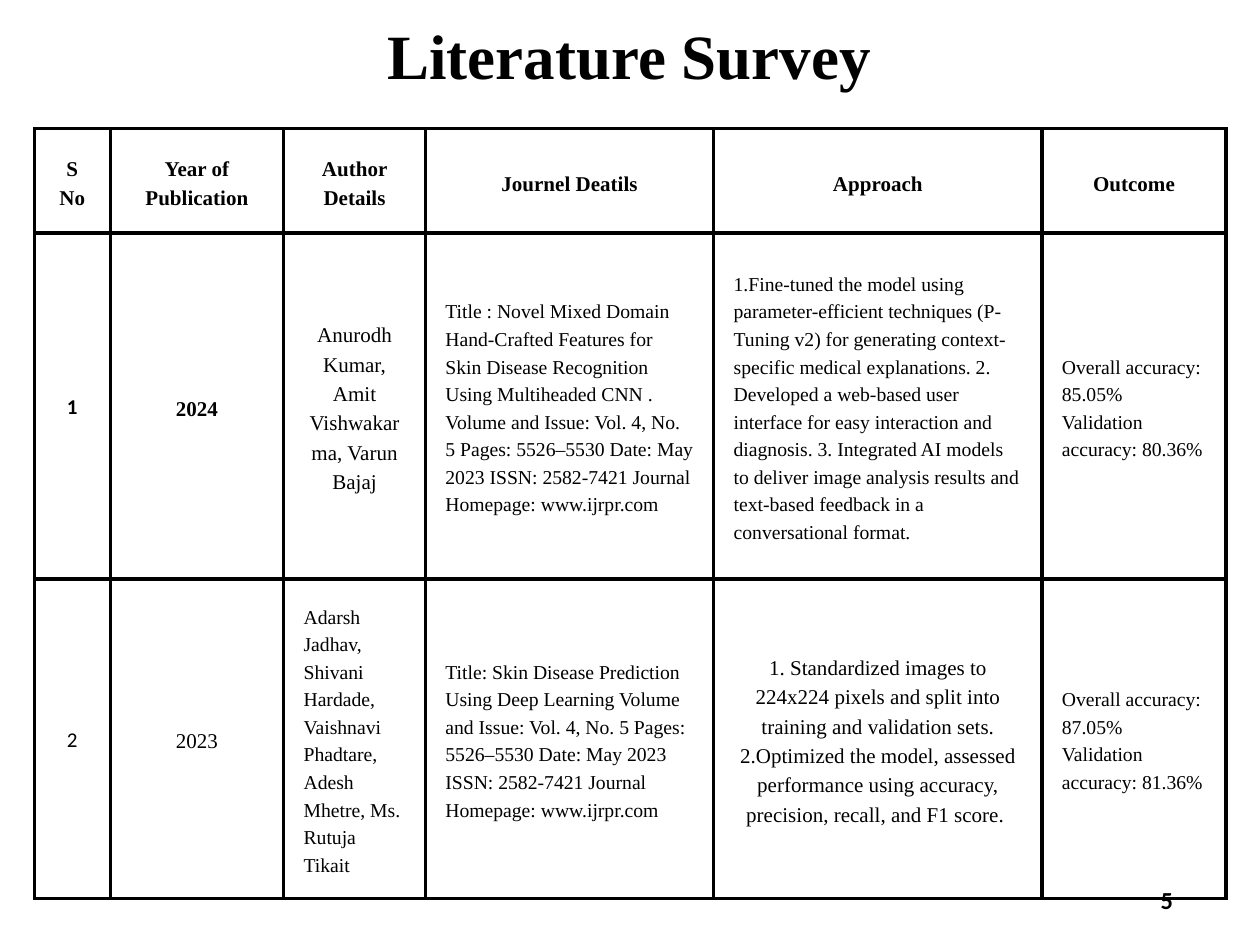
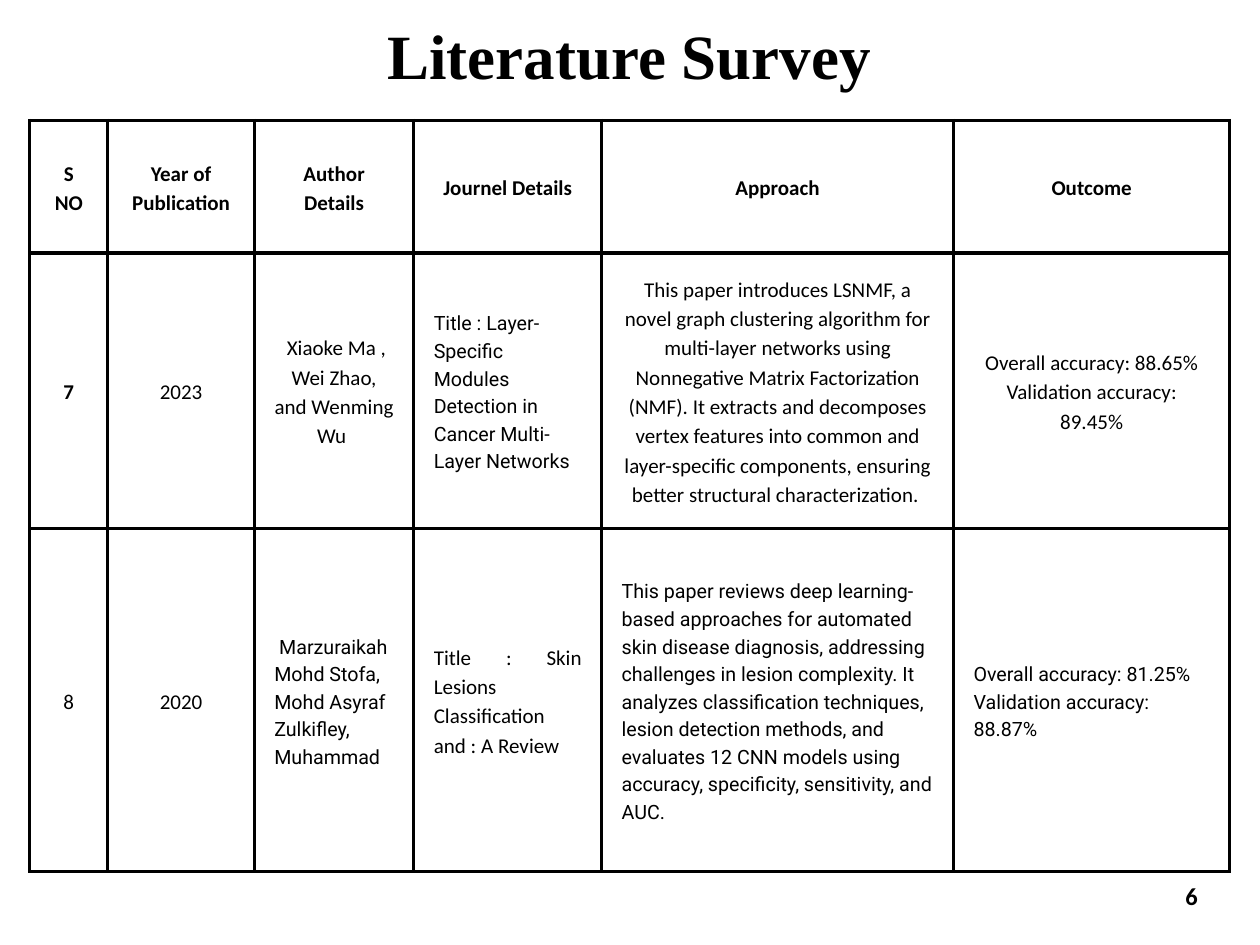
from lxml.etree import SubElement
from pptx import Presentation
from pptx.dml.color import RGBColor
from pptx.enum.text import MSO_ANCHOR, PP_ALIGN
from pptx.oxml.ns import qn
from pptx.util import Cm, Pt

INK = "000000"
SERIF, SANS, ROBOTO = "Times New Roman", "Calibri", "Roboto"
PAD = Cm(0.43)

# Cell styles: alignment, size, line pitch, bold
STYLES = {
    "head": (PP_ALIGN.CENTER, 12.8, 17.9, True),
    "mid": (PP_ALIGN.CENTER, 12.8, 17.9, False),
    "just": (PP_ALIGN.JUSTIFY, 12.8, 17.9, False),
    "left": (PP_ALIGN.LEFT, 12, 16.8, False),
    "title": (PP_ALIGN.CENTER, 38.4, 41.5, True),
    "page": (PP_ALIGN.RIGHT, 14.9, 17.9, True),
}


def write(frame, text, style, face):
    align, size, pitch, bold = STYLES[style]
    frame.word_wrap = True
    frame.text = text
    for para in frame.paragraphs:
        para.alignment = align
        para.line_spacing = Pt(pitch)
        for run in para.runs:
            run.font.name = face
            run.font.size = Pt(size)
            run.font.bold = bold
            run.font.color.rgb = RGBColor.from_string(INK)


def add_text(slide, text, style, face, box):
    frame = slide.shapes.add_textbox(*[Cm(n) for n in box]).text_frame
    frame.margin_left = frame.margin_right = 0
    frame.margin_top = frame.margin_bottom = 0
    frame.vertical_anchor = MSO_ANCHOR.MIDDLE
    write(frame, text, style, face)


# Content of both slides
pages = [
    {
        "num": "5", "num_at": (19.13, 18.77), "at": (0.74, 2.77),
        "cols": [1.63, 3.73, 3.05, 6.2, 7.06, 3.96],
        "rows": [2.24, 7.44, 6.87],
        "big": SERIF, "small": SERIF,
        "cells": [
            [("S No", "head"), ("Year of Publication", "head"),
             ("Author Details", "head"), ("Journel Deatils", "head"),
             ("Approach", "head"), ("Outcome", "head")],
            [("1", "head"), ("2024", "head"),
             ("Anurodh Kumar, Amit Vishwakarma, Varun Bajaj", "mid"),
             ("Title : Novel Mixed Domain Hand-Crafted Features for Skin "
              "Disease Recognition Using Multiheaded CNN . Volume and Issue: "
              "Vol. 4, No. 5 Pages: 5526–5530 Date: May 2023 ISSN: 2582-7421 "
              "Journal Homepage: www.ijrpr.com", "left"),
             ("1.Fine-tuned the model using parameter-efficient techniques "
              "(P-Tuning v2) for generating context-specific medical "
              "explanations. 2. Developed a web-based user interface for easy "
              "interaction and diagnosis. 3. Integrated AI models to deliver "
              "image analysis results and text-based feedback in a "
              "conversational format.", "left"),
             ("Overall accuracy: 85.05% Validation accuracy: 80.36%", "left")],
            [("2", "mid"), ("2023", "mid"),
             ("Adarsh Jadhav, Shivani Hardade, Vaishnavi Phadtare, "
              "Adesh Mhetre, Ms. Rutuja Tikait", "left"),
             ("Title: Skin Disease Prediction Using Deep Learning Volume and "
              "Issue: Vol. 4, No. 5 Pages: 5526–5530 Date: May 2023 ISSN: "
              "2582-7421 Journal Homepage: www.ijrpr.com", "left"),
             ("1. Standardized images to 224x224 pixels and split into "
              "training and validation sets. 2.Optimized the model, assessed "
              "performance using accuracy, precision, recall, and F1 score. ",
              "mid"),
             ("Overall accuracy: 87.05% Validation accuracy: 81.36%", "left")],
        ],
    },
    {
        "num": "6", "num_at": (19.66, 18.69), "at": (0.64, 2.59),
        "cols": [1.68, 3.15, 3.43, 4.04, 7.57, 5.94],
        "rows": [2.85, 5.93, 7.37],
        "big": SANS, "small": ROBOTO,
        "cells": [
            [("S NO", "head"), ("Year of Publication", "head"),
             ("Author Details", "head"), ("Journel Details", "head"),
             ("Approach", "head"), ("Outcome", "head")],
            [("7", "head"), ("2023", "mid"),
             (" Xiaoke Ma , Wei Zhao, and Wenming Wu ", "mid"),
             ("Title : Layer-Specific Modules Detection in Cancer "
              "Multi-Layer Networks", "left"),
             ("This paper introduces LSNMF, a novel graph clustering "
              "algorithm for multi-layer networks using Nonnegative Matrix "
              "Factorization (NMF). It extracts and decomposes vertex "
              "features into common and layer-specific components, ensuring "
              "better structural characterization. ", "mid"),
             ("Overall accuracy: 88.65%\nValidation accuracy: 89.45%", "mid")],
            [("8", "mid"), ("2020", "mid"),
             (" Marzuraikah Mohd Stofa, Mohd Asyraf Zulkifley, Muhammad",
              "left"),
             ("Title : Skin Lesions Classification and : A Review", "just"),
             ("This paper reviews deep learning-based approaches for "
              "automated skin disease diagnosis, addressing challenges in "
              "lesion complexity. It analyzes classification techniques, "
              "lesion detection methods, and evaluates 12 CNN models using "
              "accuracy, specificity, sensitivity, and AUC.", "left"),
             ("Overall accuracy: 81.25%\nValidation accuracy: 88.87%", "left")],
        ],
    },
]

deck = Presentation()
deck.slide_width, deck.slide_height = Cm(27.1), Cm(20.32)

for page in pages:
    slide = deck.slides.add_slide(deck.slide_layouts[6])

    # Title and page number
    add_text(slide, "Literature Survey", "title", SERIF,
             (1.85, 0.43, 23.37, 1.63))
    add_text(slide, page["num"], "page", SANS, (*page["num_at"], 6.1, 1.14))

    # Survey table
    cols, rows = page["cols"], page["rows"]
    box = (*page["at"], sum(cols), sum(rows))
    grid = slide.shapes.add_table(len(rows), len(cols),
                                  *[Cm(n) for n in box]).table
    grid.first_row = grid.horz_banding = False
    for col, width in zip(grid.columns, cols):
        col.width = Cm(width)
    for row, height, line in zip(grid.rows, rows, page["cells"]):
        row.height = Cm(height)
        for i, (cell, (text, style)) in enumerate(zip(row.cells, line)):
            small = style == "left"
            face = page["small"] if small else page["big"]
            # Serial numbers below the heading are always sans
            if i == 0 and text.isdigit():
                face = SANS
            write(cell.text_frame, text, style, face)
            cell.vertical_anchor = MSO_ANCHOR.MIDDLE
            cell.margin_left = cell.margin_right = PAD
            cell.margin_top = cell.margin_bottom = PAD

            # Borders, then an empty fill
            props = cell._tc.get_or_add_tcPr()
            for side in ("lnL", "lnR", "lnT", "lnB"):
                edge = SubElement(props, qn("a:" + side), w=str(Pt(2.25)))
                fill = SubElement(edge, qn("a:solidFill"))
                SubElement(fill, qn("a:srgbClr"), val=INK)
            cell.fill.background()

deck.save("out.pptx")
